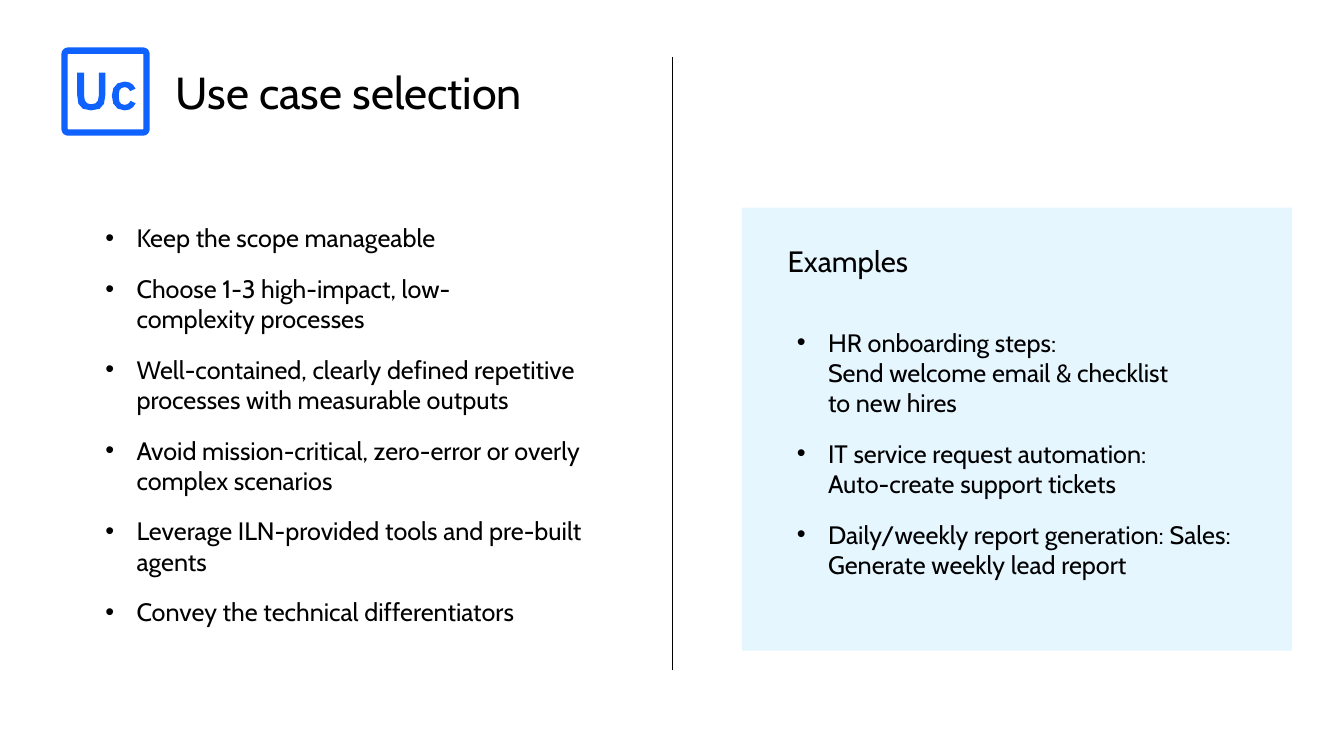
from lxml.etree import SubElement
from pptx import Presentation
from pptx.dml.color import RGBColor
from pptx.enum.shapes import MSO_CONNECTOR as Connector, MSO_SHAPE as Shape
from pptx.oxml.ns import qn
from pptx.util import Pt

COLORS = {"text": "000000", "panel": "E5F6FF", "icon": "0F62FE"}
FONT = "Cabin"
INDENT = 44.6

ADVICE = [
    "Keep the scope manageable",
    "Choose 1-3 high-impact, low-\ncomplexity processes",
    "Well-contained, clearly defined repetitive processes with measurable outputs",
    "Avoid mission-critical, zero-error or overly complex scenarios",
    "Leverage ILN-provided tools and pre-built agents",
    "Convey the technical differentiators",
]
EXAMPLES = [
    "HR onboarding steps: \nSend welcome email & checklist \nto new hires",
    "IT service request automation: \nAuto-create support tickets",
    "Daily/weekly report generation: Sales: Generate weekly lead report",
]

# Letter outlines: two numbers are a line end, six are a Bézier curve.
LETTER_U = [
    (130.3, 157.7), (145.4, 157.7, 150.5, 151.2, 150.5, 135.4),
    (150.5, 103.7), (141.1, 103.7), (141.1, 136.8),
    (141.1, 144.7, 138.2, 149, 130.3, 149),
    (123.1, 149, 120.2, 144.7, 120.2, 136.8),
    (120.2, 103.7), (110.2, 103.7), (110.2, 135.4),
    (110.2, 151.2, 115.2, 157.7, 130.3, 157.7),
]
LETTER_C = [
    (177.8, 157.7), (185.8, 157.7, 190.8, 154.1, 193.7, 147.6),
    (186.5, 144), (185, 147.6, 182.2, 149.8, 177.8, 149.8),
    (172.8, 149.8, 169.9, 146.2, 169.9, 141.1), (169.9, 133.9),
    (169.9, 128.2, 172.8, 124.6, 177.8, 124.6),
    (182.2, 124.6, 184.3, 126.7, 185.8, 130.3),
    (193.7, 126.7), (190.8, 120.2, 185.8, 116.6, 177.8, 116.6),
    (166.3, 116.6, 159.8, 124.6, 159.8, 136.8),
    (159.8, 149.8, 166.3, 157.7, 177.8, 157.7),
]


def color(name):
    return RGBColor.from_string(COLORS[name])


def fill_plain(shape, name):
    shape.shadow.inherit = False
    shape.fill.solid()
    shape.fill.fore_color.rgb = color(name)
    shape.line.fill.background()


def add_text(page, bounds, lines, size, bulleted=False):
    box = page.shapes.add_textbox(*map(Pt, bounds))
    frame = box.text_frame
    frame.word_wrap = True
    if bulleted:
        for side in ("left", "top", "right", "bottom"):
            setattr(frame, f"margin_{side}", 0)
    for index, line in enumerate(lines):
        para = frame.add_paragraph() if index else frame.paragraphs[0]
        para.text = line.replace("\n", "\v")
        if bulleted:
            add_bullet(para)
        if index:
            para.space_before = Pt(29)
        for span in para.runs:
            for key, value in {"name": FONT, "size": Pt(size)}.items():
                setattr(span.font, key, value)
            span.font.color.rgb = color("text")


def add_bullet(para):
    props = para._p.get_or_add_pPr()
    props.set("marL", str(Pt(INDENT)))
    props.set("indent", str(-Pt(INDENT)))
    SubElement(props, qn("a:buFont")).set("typeface", "Arial")
    SubElement(props, qn("a:buChar")).set("char", "•")


def curve_points(start, curve, steps=3):
    """Points along a cubic Bézier, without its start."""
    corners = [start, curve[:2], curve[2:4], curve[4:]]
    for step in range(1, steps + 1):
        t = step / steps
        weights = ((1 - t) ** 3, 3 * t * (1 - t) ** 2, 3 * t * t * (1 - t), t ** 3)
        yield tuple(sum(w * c[axis] for w, c in zip(weights, corners)) for axis in (0, 1))


def add_letter(page, outline):
    points = [outline[0]]
    for part in outline[1:]:
        points.extend([part] if len(part) == 2 else curve_points(points[-1], part))
    points = [(Pt(x), Pt(y)) for x, y in points]
    builder = page.shapes.build_freeform(*points[0])
    builder.add_line_segments(points[1:-1], close=True)
    fill_plain(builder.convert_to_shape(), "icon")


def add_icon(page):
    for outline in (LETTER_C, LETTER_U):
        add_letter(page, outline)
    frame = page.shapes.add_shape(Shape.ROUNDED_RECTANGLE, *map(Pt, (92.3, 72.3, 117, 117)))
    frame.adjustments[0] = 0.04
    frame.shadow.inherit = False
    frame.fill.background()
    frame.line.color.rgb = color("icon")
    frame.line.width = Pt(9)


def add_divider(page, x, top, bottom):
    line = page.shapes.add_connector(Connector.STRAIGHT, Pt(x), Pt(top), Pt(x), Pt(bottom))
    line.line.color.rgb = color("text")
    line.line.width = Pt(1)
    SubElement(line._element.spPr, qn("a:effectLst"))


def main():
    deck = Presentation()
    deck.slide_width, deck.slide_height = Pt(1920), Pt(1080)
    page = deck.slides.add_slide(deck.slide_layouts[6])
    panel = page.shapes.add_shape(Shape.RECTANGLE, *map(Pt, (1060, 296.6, 786, 633)))
    fill_plain(panel, "panel")
    add_text(page, (150.5, 318.2, 716.4, 672.5), ADVICE, 36, bulleted=True)
    add_text(page, (244, 89.3, 666.7, 126), ["Use case selection"], 64)
    add_divider(page, 960, 81.4, 956.9)
    add_icon(page)
    add_text(page, (1118.2, 344.2, 651, 108), ["Examples"], 42)
    add_text(page, (1138.3, 467.3, 630.7, 468), EXAMPLES, 36, bulleted=True)
    deck.save("out.pptx")


if __name__ == "__main__":
    main()
